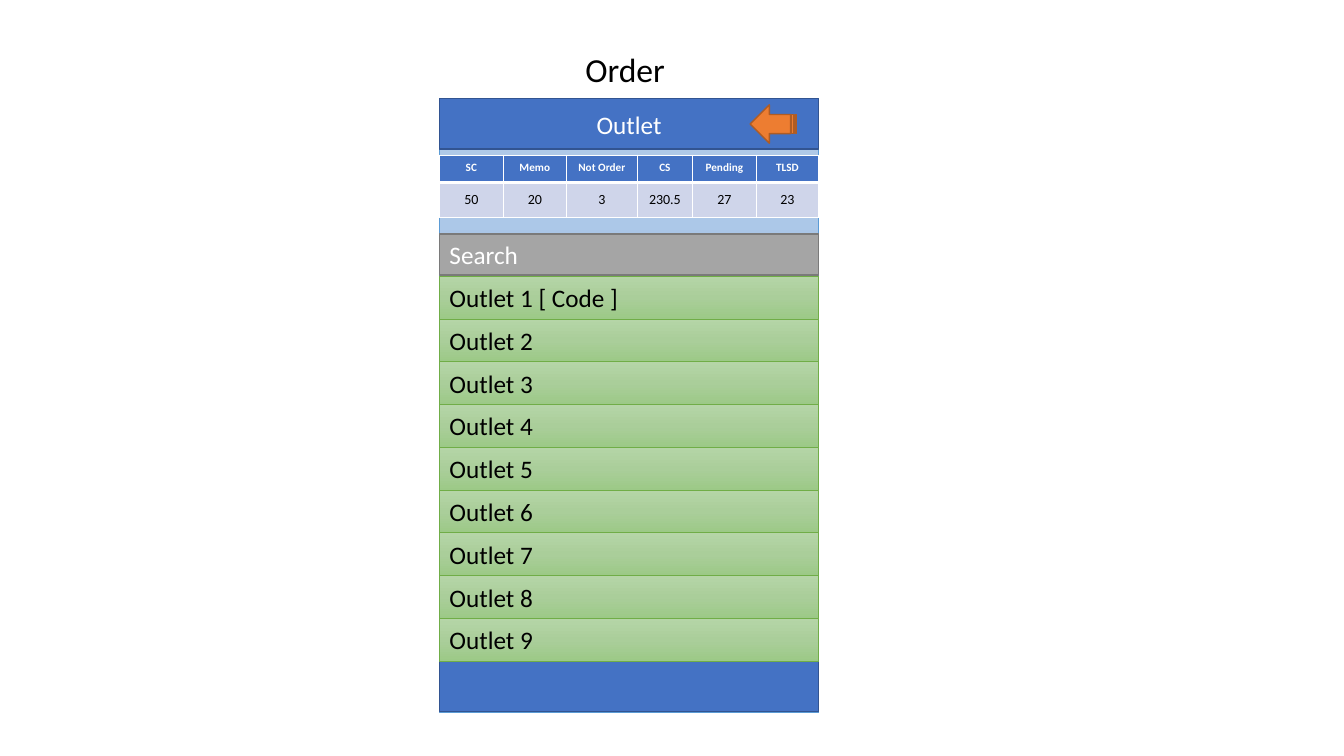
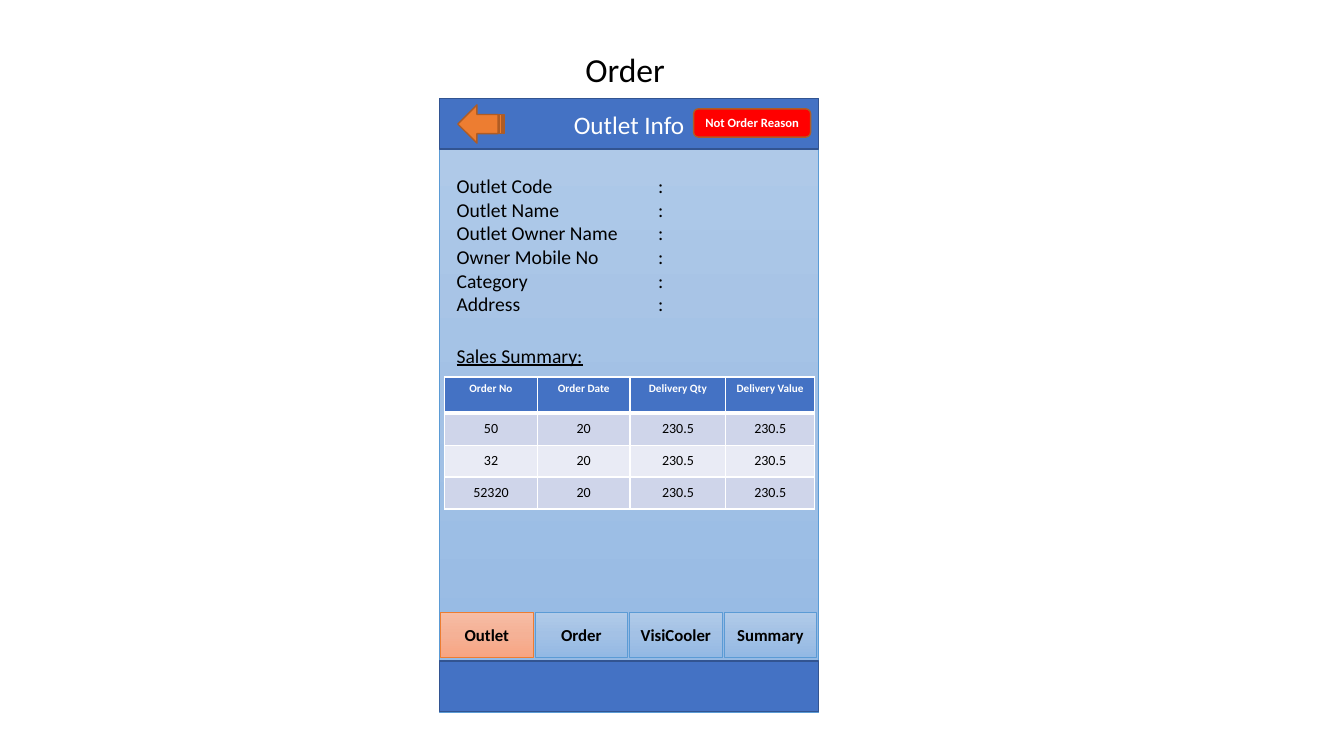
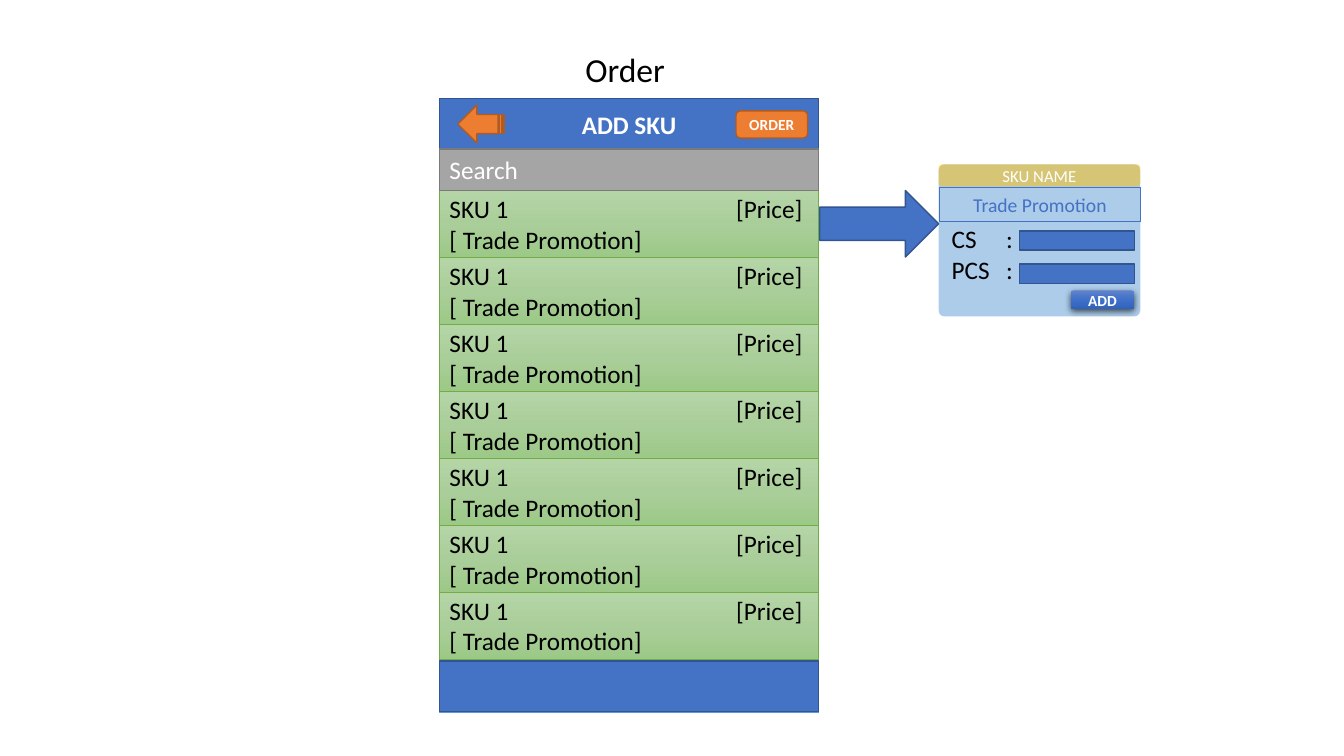
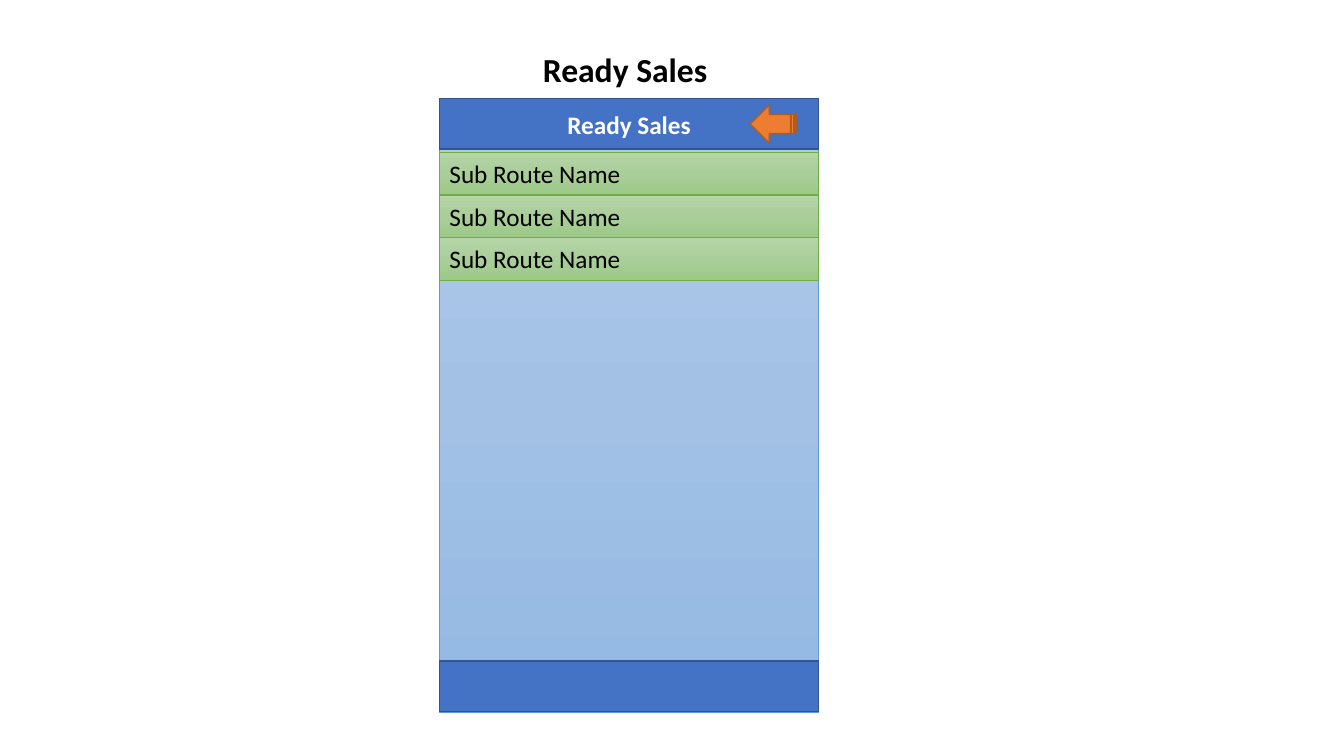
from dataclasses import dataclass
from typing import Optional, Sequence

from lxml.etree import SubElement
from pptx import Presentation
from pptx.dml.color import RGBColor
from pptx.enum.shapes import MSO_SHAPE
from pptx.enum.text import MSO_ANCHOR, PP_ALIGN
from pptx.oxml.ns import qn
from pptx.util import Inches, Pt


@dataclass(frozen=True)
class Theme:
    """Colours, fills and type sizes shared by all slides."""
    font: str = "Calibri"
    black: str = "000000"
    white: str = "FFFFFF"
    blue: str = "4472C4"
    blue_edge: str = "325491"
    sky: tuple = ("B1CBE9", "A3C1E5", "93B9E4")
    sky_edge: str = "5B9BD5"
    green: tuple = ("B5D5A7", "AACE9A", "9CC987")
    green_edge: str = "70AD47"
    peach: tuple = ("F7BDA5", "F5B196", "F8A582")
    glossy: tuple = ("6183CB", "3E70CA", "3062BB")
    orange: str = "ED7D31"
    orange_edge: str = "AF5C24"
    red: str = "FF0000"
    gold: str = "FFC000"
    grey: str = "A5A5A5"
    grey_edge: str = "7A7A7A"
    bands: tuple = ("CFD5EA", "E9EBF5")
    title: float = 24
    body: float = 18
    detail: float = 14
    tab: float = 12
    button: float = 11
    cell: float = 10
    small: float = 9
    head: float = 8


@dataclass(frozen=True)
class Box:
    """A rectangle in inches that can be divided evenly."""
    x: float
    y: float
    w: float
    h: float

    def emu(self) -> tuple:
        """Return left, top, width and height as lengths."""
        return tuple(Inches(v) for v in (self.x, self.y, self.w, self.h))

    def band(self, top: float, bottom: float) -> "Box":
        """Return the full-width band between two heights of the slide."""
        return Box(self.x, top, self.w, bottom - top)

    def rows(self, n: int) -> list:
        """Split into equal rows."""
        h = self.h / n
        return [Box(self.x, self.y + i * h, self.w, h) for i in range(n)]

    def columns(self, n: int, gap: float) -> list:
        """Split into equal columns with a gap between them."""
        w = (self.w - gap * (n - 1)) / n
        return [Box(self.x + i * (w + gap), self.y, w, self.h) for i in range(n)]


@dataclass(frozen=True)
class Text:
    """Lines of text that share one style."""
    lines: Sequence[str]
    size: float
    color: str
    bold: bool = False
    underline: bool = False
    align: PP_ALIGN = PP_ALIGN.CENTER
    tab: Optional[float] = None
    tab_align: str = "l"


@dataclass(frozen=True)
class Look:
    """Fill, outline and opacity of a shape."""
    fill: object = None
    line: Optional[str] = None
    width: float = 1
    alpha: Optional[int] = None


T = Theme()
SLIDE_W, SLIDE_H = 13.33, 7.5
PHONE = Box(4.36, 0.98, 3.76, 6.09)
BAR_H = 0.5
HEADER = PHONE.band(PHONE.y, PHONE.y + BAR_H)
FOOTER = PHONE.band(6.56, 6.56 + BAR_H)
TITLE_MID, TITLE_Y, TITLE_H = 6.2, 0.44, 0.5
BACK_LEFT, BACK_RIGHT = 4.54, 7.44
SEARCH_H = 0.41
POPUP = Box(9.31, 1.63, 2, 1.51)

BAR = Look(T.blue, T.blue_edge)
SCREEN = Look(T.sky, T.sky_edge, 0.5)
ROW = Look(T.green, T.green_edge, 0.5)
ACTIVE = Look(T.peach, T.orange, 0.5)


def rgb(color: str) -> RGBColor:
    """Turn a hex string into a colour."""
    return RGBColor.from_string(color)


def write(tf, text: Text) -> None:
    """Fill a text frame with styled paragraphs."""
    for i, line in enumerate(text.lines):
        p = tf.add_paragraph() if i else tf.paragraphs[0]
        p.text = line
        p.alignment = text.align
        if text.tab is not None:
            tabs = SubElement(p._p.get_or_add_pPr(), qn("a:tabLst"))
            SubElement(tabs, qn("a:tab"), pos=str(Inches(text.tab)), algn=text.tab_align)
        f = p.font
        f.name, f.size, f.bold = T.font, Pt(text.size), text.bold
        f.underline = text.underline
        f.color.rgb = rgb(text.color)


def paint_gradient(sp, colors: Sequence[str]) -> None:
    """Give a shape an even vertical gradient."""
    sp.fill.gradient()
    sp.fill.gradient_angle = 270
    stops = sp._element.spPr.find(".//" + qn("a:gsLst"))
    stops.clear()
    for i, color in enumerate(colors):
        gs = SubElement(stops, qn("a:gs"), pos=str(100000 * i // (len(colors) - 1)))
        SubElement(gs, qn("a:srgbClr"), val=color)


def add_shape(slide, box: Box, look: Look, text: Optional[Text] = None,
              kind: MSO_SHAPE = MSO_SHAPE.RECTANGLE):
    """Draw a preset shape with an optional label."""
    sp = slide.shapes.add_shape(kind, *box.emu())
    sp.shadow.inherit = False
    if look.fill is None:
        sp.fill.background()
    elif isinstance(look.fill, tuple):
        paint_gradient(sp, look.fill)
    else:
        sp.fill.solid()
        sp.fill.fore_color.rgb = rgb(look.fill)
        if look.alpha is not None:
            clr = sp._element.spPr.find(".//" + qn("a:srgbClr"))
            SubElement(clr, qn("a:alpha"), val=str(look.alpha * 1000))
    if look.line is None:
        sp.line.fill.background()
    else:
        sp.line.color.rgb = rgb(look.line)
        sp.line.width = Pt(look.width)
    if text is not None:
        tf = sp.text_frame
        tf.word_wrap = text.align != PP_ALIGN.CENTER
        tf.vertical_anchor = MSO_ANCHOR.MIDDLE
        write(tf, text)
    return sp


def add_text(slide, box: Box, text: Text, wrap: bool = True) -> None:
    """Place a text box."""
    tf = slide.shapes.add_textbox(*box.emu()).text_frame
    tf.word_wrap = wrap
    write(tf, text)


def add_shadow(sp) -> None:
    """Cast a soft shadow below a shape."""
    effects = sp._element.spPr.find(qn("a:effectLst"))
    shadow = SubElement(effects, qn("a:outerShdw"), blurRad=str(Pt(4.5)),
                        dist=str(Pt(1.5)), dir="5400000", algn="ctr", rotWithShape="0")
    clr = SubElement(shadow, qn("a:srgbClr"), val=T.black)
    SubElement(clr, qn("a:alpha"), val="63000")


def add_borders(cell, bottom: float) -> None:
    """Outline a cell in white."""
    tc_pr = cell._tc.get_or_add_tcPr()
    for side, width in (("L", 1), ("R", 1), ("T", 1), ("B", bottom)):
        ln = SubElement(tc_pr, qn(f"a:ln{side}"), w=str(Pt(width)))
        fill = SubElement(ln, qn("a:solidFill"))
        SubElement(fill, qn("a:srgbClr"), val=T.white)


def add_table(slide, box: Box, widths: Sequence[float], head_h: float,
              data: Sequence[Sequence[str]]) -> None:
    """Draw a banded table whose first row is the heading."""
    tb = slide.shapes.add_table(len(data), len(widths), *box.emu()).table
    for col, w in zip(tb.columns, widths):
        col.width = Inches(w)
    for i, values in enumerate(data):
        tb.rows[i].height = Inches((box.h - head_h) / (len(data) - 1) if i else head_h)
        for cell, value in zip(tb.rows[i].cells, values):
            add_borders(cell, 1 if i else 3)
            cell.fill.solid()
            cell.fill.fore_color.rgb = rgb(T.bands[(i - 1) % 2] if i else T.blue)
            cell.vertical_anchor = MSO_ANCHOR.MIDDLE if i else MSO_ANCHOR.TOP
            write(cell.text_frame, Text([value], T.cell, T.black) if i
                  else Text([value], T.head, T.white, bold=True))


def add_screen(prs, title: str, heading: str, back_x: float, title_w: float = 1,
               bold_title: bool = False, bold_heading: bool = False):
    """Add a slide with its title, phone frame and back arrow."""
    slide = prs.slides.add_slide(prs.slide_layouts[6])
    add_text(slide, Box(TITLE_MID - title_w / 2, TITLE_Y, title_w, TITLE_H),
             Text([title], T.title, T.black, bold_title), wrap=False)
    add_shape(slide, PHONE, SCREEN)
    add_shape(slide, HEADER, BAR, Text([heading], T.body, T.white, bold_heading))
    add_shape(slide, FOOTER, BAR)
    arrow = add_shape(slide, Box(back_x, 1.04, 0.46, 0.38), Look(T.orange, T.orange_edge),
                      kind=MSO_SHAPE.STRIPED_RIGHT_ARROW)
    arrow.rotation = 180
    return slide


def add_rows(slide, top: float, bottom: float, items: Sequence[Sequence[str]]) -> None:
    """Stack green list rows between two heights."""
    for box, lines in zip(PHONE.band(top, bottom).rows(len(items)), items):
        add_shape(slide, box, ROW, Text(lines, T.body, T.black, align=PP_ALIGN.LEFT,
                                        tab=3.5, tab_align="r"))


def add_search(slide, top: float) -> None:
    """Draw the grey search field."""
    add_shape(slide, PHONE.band(top, top + SEARCH_H), Look(T.grey, T.grey_edge),
              Text(["Search"], T.body, T.white, align=PP_ALIGN.LEFT))


def add_button(slide, box: Box, look: Look, label: str, size: float):
    """Draw a rounded button."""
    return add_shape(slide, box, look, Text([label], size, T.white, bold=True),
                     MSO_SHAPE.ROUNDED_RECTANGLE)


def build_outlets(prs) -> None:
    """Build the outlet list."""
    slide = add_screen(prs, "Order", "Outlet", BACK_RIGHT)
    outlets = ["Outlet 1 [ Code ]"] + [f"Outlet {n}" for n in range(2, 10)]
    add_rows(slide, 2.74, FOOTER.y, [[name] for name in outlets])
    add_table(slide, PHONE.band(1.54, 2.16), (0.63, 0.63, 0.7, 0.55, 0.63, 0.62), 0.27, (
        ("SC", "Memo", "Not Order", "CS", "Pending", "TLSD"),
        ("50", "20", "3", "230.5", "27", "23")))
    add_search(slide, 2.32)


def build_outlet_info(prs) -> None:
    """Build the outlet details."""
    slide = add_screen(prs, "Order", "Outlet Info", BACK_LEFT)
    tabs = Box(4.37, 6.07, 3.73, 0.45).columns(4, 0.02)
    for i, (box, label) in enumerate(zip(tabs, ("Outlet", "Order", "VisiCooler", "Summary"))):
        add_shape(slide, box, SCREEN if i else ACTIVE, Text([label], T.tab, T.black, bold=True))
    fields = ("Outlet Code", "Outlet Name", "Outlet Owner Name", "Owner Mobile No",
              "Category", "Address")
    add_text(slide, Box(4.43, 1.68, 3.54, 1.51),
             Text([f"{field}\t:" for field in fields], T.detail, T.black,
                  align=PP_ALIGN.LEFT, tab=2))
    add_table(slide, Box(4.41, 3.74, 3.67, 1.31), (0.92, 0.92, 0.95, 0.88), 0.36, (
        ("Order No", "Order Date", "Delivery Qty", "Delivery Value"),
        *((order, "20", "230.5", "230.5") for order in ("50", "32", "52320"))))
    add_text(slide, Box(4.43, 3.36, 1.46, 0.34),
             Text(["Sales Summary:"], T.detail, T.black, underline=True,
                  align=PP_ALIGN.LEFT), wrap=False)
    add_button(slide, Box(6.88, 1.08, 1.16, 0.28), Look(T.red, T.orange_edge),
               "Not Order Reason", T.small)


def add_popup(slide) -> None:
    """Draw the quantity window that a product row opens."""
    panel = add_shape(slide, POPUP, Look(T.sky_edge, alpha=50),
                      kind=MSO_SHAPE.ROUNDED_RECTANGLE)
    panel.adjustments[0] = 0.04
    add_shape(slide, Box(8.13, 1.89, 1.18, 0.66), BAR, kind=MSO_SHAPE.RIGHT_ARROW)
    add_shape(slide, POPUP.band(POPUP.y, 1.85), Look(T.gold, alpha=50),
              Text(["SKU NAME"], T.tab, T.white), MSO_SHAPE.ROUNDED_RECTANGLE)
    add_text(slide, Box(9.34, 2.17, 1.28, 0.71),
             Text(["CS\t:", "PCS\t:"], T.body, T.black, align=PP_ALIGN.LEFT, tab=0.54))
    for top in (2.29, 2.62):
        add_shape(slide, Box(10.11, top, 1.14, 0.19), BAR)
    add_shadow(add_button(slide, Box(10.62, 2.88, 0.63, 0.19), Look(T.glossy),
                          "ADD", T.button))
    add_shape(slide, Box(9.32, 1.86, 1.99, 0.34), Look(line=T.blue, width=0.75),
              Text(["Trade Promotion"], T.detail, T.blue))


def build_add_sku(prs) -> None:
    """Build the product list with its popup."""
    slide = add_screen(prs, "Order", "ADD SKU", BACK_LEFT, bold_heading=True)
    search_top = HEADER.y + HEADER.h
    add_rows(slide, search_top + SEARCH_H, 6.54, [["SKU 1\t[Price]", "[ Trade Promotion]"]] * 7)
    add_search(slide, search_top)
    add_popup(slide)
    add_button(slide, Box(7.3, 1.1, 0.71, 0.27), Look(T.orange, T.orange_edge),
               "ORDER", T.button)


def build_ready_sales(prs) -> None:
    """Build the sub route list."""
    slide = add_screen(prs, "Ready Sales", "Ready Sales", BACK_RIGHT, title_w=1.9,
                       bold_title=True, bold_heading=True)
    add_rows(slide, 1.51, 2.78, [["Sub Route Name"]] * 3)


def main() -> None:
    """Build and save the presentation."""
    prs = Presentation()
    prs.slide_width, prs.slide_height = Inches(SLIDE_W), Inches(SLIDE_H)
    for build in (build_outlets, build_outlet_info, build_add_sku, build_ready_sales):
        build(prs)
    prs.save("out.pptx")


if __name__ == "__main__":
    main()
